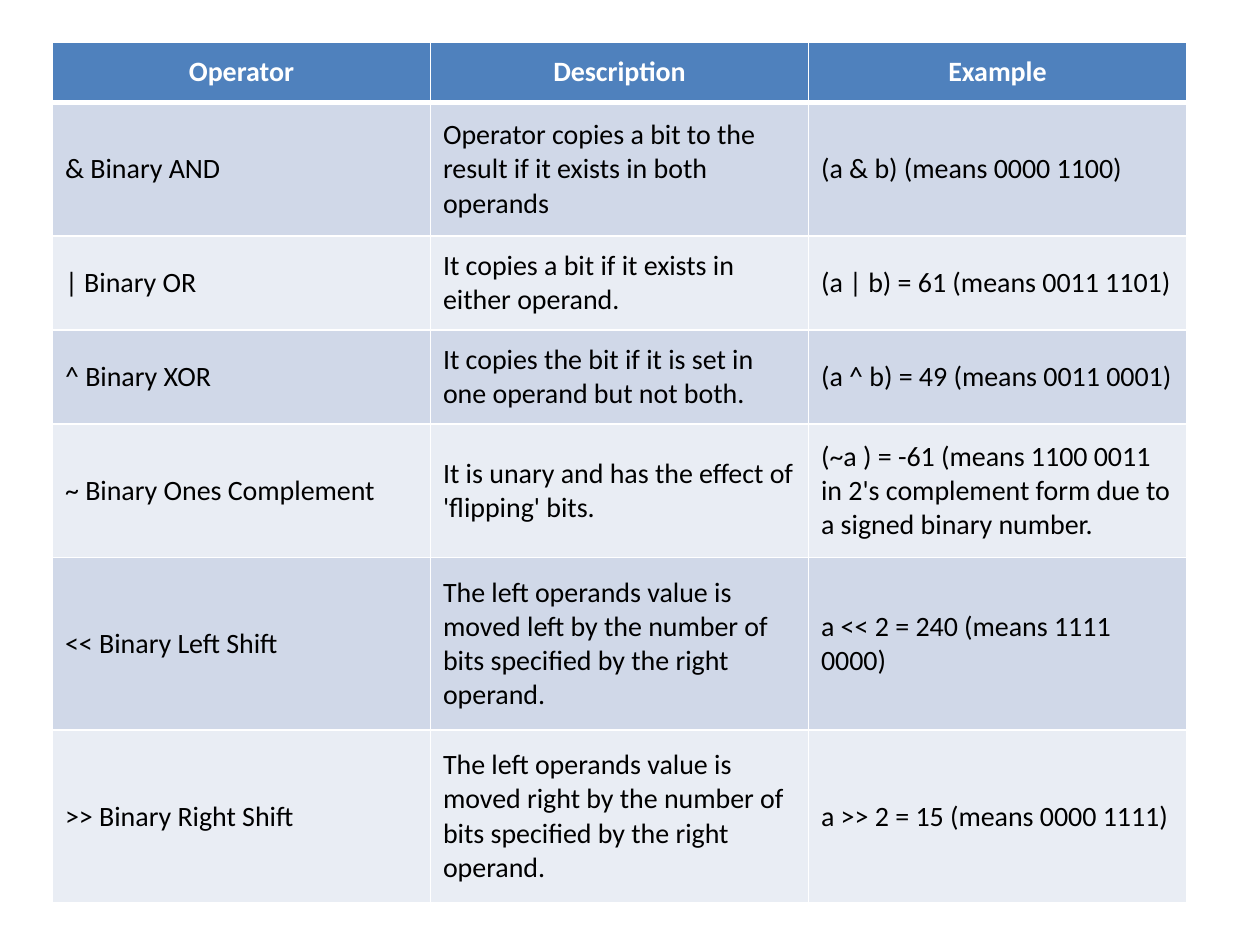
from lxml import etree
from pptx import Presentation
from pptx import util as u
from pptx.dml import color
from pptx.enum import text
from pptx.oxml import ns

THEME = {
    "font": "Calibri",
    "size": 16,
    "header_fill": "4F81BD",
    "header_text": "FFFFFF",
    "bands": ("D0D8E8", "E9EDF4"),
    "body_text": "000000",
    "border": "FFFFFF",
}

HEADINGS = ("Operator", "Description", "Example")
# Row height in points, then the three cell texts
OPERATORS = [
    (76.4, "& Binary AND",
     "Operator copies a bit to the result if it exists in both operands",
     "(a & b) (means 0000 1100)"),
    (53.7, "| Binary OR",
     "It copies a bit if it exists in either operand.",
     "(a | b) = 61 (means 0011 1101)"),
    (53.7, "^ Binary XOR",
     "It copies the bit if it is set in one operand but not both.",
     "(a ^ b) = 49 (means 0011 0001)"),
    (76.4, "~ Binary Ones Complement",
     "It is unary and has the effect of 'flipping' bits.",
     "(~a ) = -61 (means 1100 0011 in 2's complement form due to a signed binary number."),
    (98.6, "<< Binary Left Shift",
     "The left operands value is moved left by the number of bits specified by the right operand.",
     "a << 2 = 240 (means 1111 0000)"),
    (98.6, ">> Binary Right Shift",
     "The left operands value is moved right by the number of bits specified by the right operand.",
     "a >> 2 = 15 (means 0000 1111)"),
]
HEADER_HEIGHT = 34.5
COLUMN_WIDTH = 216


def write_cell(cell, words, *, fill, ink, bold=False, align=None, top=1, bottom=1):
    """Fill a table cell with formatted text; top and bottom are border widths."""
    cell.vertical_anchor = text.MSO_ANCHOR.MIDDLE
    properties = cell._tc.get_or_add_tcPr()
    for side, width in (("L", 1), ("R", 1), ("T", top), ("B", bottom)):
        line = etree.SubElement(properties, ns.qn("a:ln" + side), w=str(u.Pt(width)))
        solid = etree.SubElement(line, ns.qn("a:solidFill"))
        etree.SubElement(solid, ns.qn("a:srgbClr"), val=THEME["border"])
    cell.fill.solid()
    cell.fill.fore_color.rgb = color.RGBColor.from_string(fill)
    para = cell.text_frame.paragraphs[0]
    para.alignment = align
    span = para.add_run()
    span.text = words
    span.font.name = THEME["font"]
    span.font.size = u.Pt(THEME["size"])
    span.font.bold = bold
    span.font.color.rgb = color.RGBColor.from_string(ink)


# Deck and blank page
deck = Presentation()
deck.slide_width, deck.slide_height = u.Pt(720), u.Pt(540)
page = deck.slides.add_slide(deck.slide_layouts[6])

# Table grid
heights = [HEADER_HEIGHT] + [row[0] for row in OPERATORS]
table = page.shapes.add_table(
    len(heights), len(HEADINGS), u.Pt(30), u.Pt(24),
    u.Pt(COLUMN_WIDTH * len(HEADINGS)), u.Pt(sum(heights))).table
for column in table.columns:
    column.width = u.Pt(COLUMN_WIDTH)
for row, height in zip(table.rows, heights):
    row.height = u.Pt(height)

# Header row
for column, heading in enumerate(HEADINGS):
    write_cell(table.cell(0, column), heading, fill=THEME["header_fill"],
               ink=THEME["header_text"], bold=True,
               align=text.PP_ALIGN.CENTER, bottom=3)

# Operator rows in alternating bands
for index, (_, *words) in enumerate(OPERATORS):
    for column, entry in enumerate(words):
        write_cell(table.cell(index + 1, column), entry,
                   fill=THEME["bands"][index % 2], ink=THEME["body_text"],
                   align=text.PP_ALIGN.LEFT, top=3 if index == 0 else 1)

deck.save("out.pptx")
